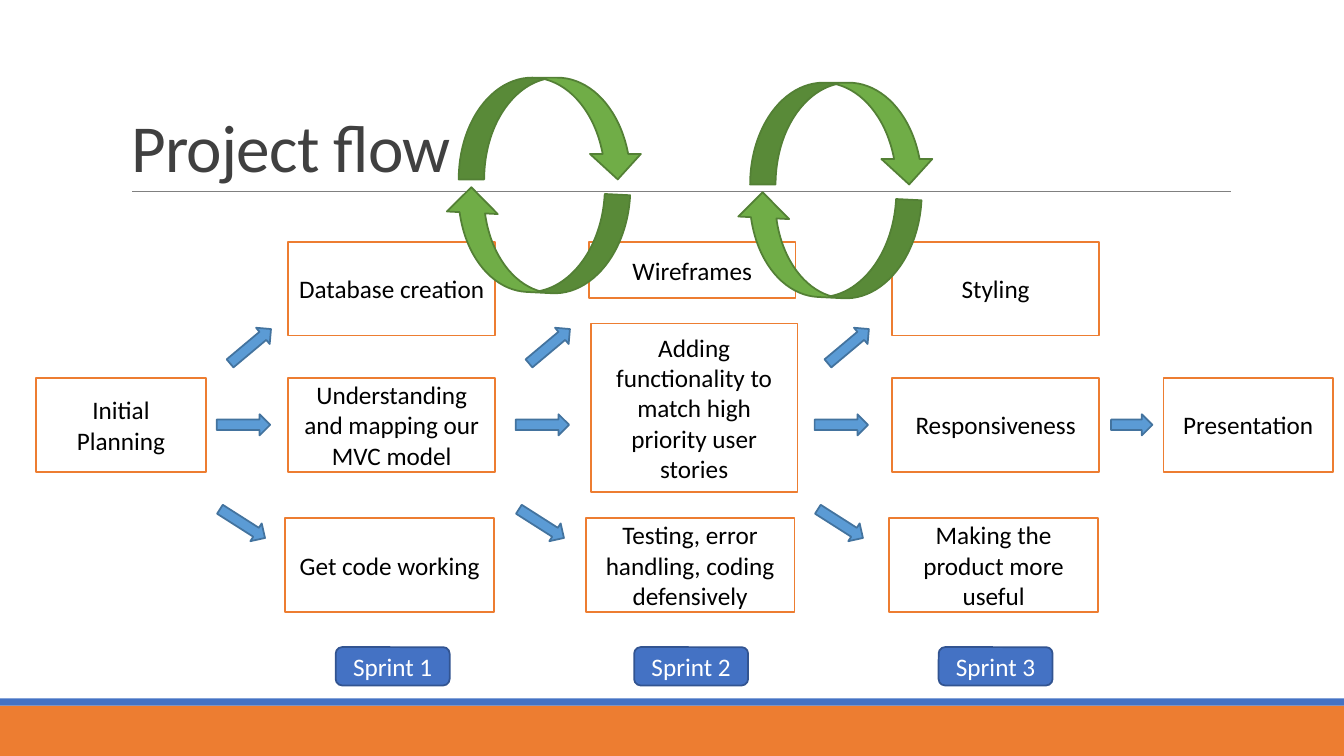
from pptx import Presentation
from pptx.dml.color import RGBColor
from pptx.enum.shapes import MSO_CONNECTOR, MSO_SHAPE
from pptx.enum.text import MSO_ANCHOR, MSO_AUTO_SIZE, PP_ALIGN
from pptx.oxml.ns import qn
from pptx.util import Inches, Pt

RECT = MSO_SHAPE.RECTANGLE
BOX = MSO_SHAPE.FLOWCHART_PROCESS
PILL = MSO_SHAPE.FLOWCHART_ALTERNATE_PROCESS
ARROW = MSO_SHAPE.RIGHT_ARROW
CURVE = MSO_SHAPE.CURVED_DOWN_ARROW
LINE = MSO_CONNECTOR.STRAIGHT
MIDDLE, BOTTOM = MSO_ANCHOR.MIDDLE, MSO_ANCHOR.BOTTOM
LEFT, CENTER = PP_ALIGN.LEFT, PP_ALIGN.CENTER

# Each look holds fill, outline and text colour.
THEME = {
    "font": "Calibri", "head": Pt(48), "body": Pt(18),
    "edge": Pt(1.25), "thin": Pt(0.5),
    "title": "404040", "rule": "808080",
    "foot": ("ED7D31", None, None),
    "strip": ("4472C4", None, None),
    "box": ("FFFFFF", "ED7D31", "000000"),
    "pill": ("4472C4", "325491", "FFFFFF"),
    "arrow": ("5B9BD5", "43739E", None),
    "cycle": ("70AD47", "538035", None),
}

deck = Presentation()
deck.slide_width, deck.slide_height = Inches(13.33), Inches(7.5)
CELL = deck.slide_height / 75  # the slide is a grid of 75 rows of square cells
WIDE = deck.slide_width / CELL
slide = deck.slides.add_slide(deck.slide_layouts[5])


def style(frame, text, size, color, align, anchor):
    """Fill a text frame with one formatted paragraph."""
    frame.text = text
    form = {"word_wrap": True, "auto_size": MSO_AUTO_SIZE.NONE,
            "vertical_anchor": anchor}
    for name, value in form.items():
        setattr(frame, name, value)
    para = frame.paragraphs[0]
    para.alignment = align
    font = para.runs[0].font
    for name, value in {"name": THEME["font"], "size": size}.items():
        setattr(font, name, value)
    font.color.rgb = RGBColor.from_string(color)
    return para


def draw(kind, look, area, text="", turn=0):
    """Add a shape; area is left, top, width and height in cells."""
    shape = slide.shapes.add_shape(kind, *(round(n * CELL) for n in area))
    shape.shadow.inherit = False
    shape.rotation = turn
    fill, edge, ink = THEME[look]
    shape.fill.solid()
    shape.fill.fore_color.rgb = RGBColor.from_string(fill)
    if edge:
        shape.line.color.rgb = RGBColor.from_string(edge)
        shape.line.width = THEME["edge"]
    else:
        shape.line.fill.background()
    if text:
        style(shape.text_frame, text, THEME["body"], ink, CENTER, MIDDLE)


# Title and frame
draw(RECT, "foot", (0, 70, WIDE, 5))
draw(RECT, "strip", (0, 69.3, WIDE, 0.7))
rule = slide.shapes.add_connector(
    LINE, *(round(n * CELL) for n in (13.1, 19, 122.1, 19)))
rule.line.color.rgb = RGBColor.from_string(THEME["rule"])
rule.line.width = THEME["thin"]
rule._element.spPr.append(rule._element.makeelement(qn("a:effectLst"), {}))

title = slide.shapes.title
place = {"left": 12, "top": 3.1, "width": 110, "height": 15.9}
for name, value in place.items():
    setattr(title, name, round(value * CELL))
para = style(title.text_frame, "Project flow", THEME["head"],
             THEME["title"], LEFT, BOTTOM)
para.line_spacing = 0.85
para.runs[0].font._element.set("spc", "-50")

# Start and end steps
MID, TALL = 37.5, 9.3
for left, text in ((3.6, "Initial Planning"), (115.4, "Presentation")):
    draw(BOX, "box", (left, MID, 16.8, TALL), text)

# Sprints: box column, label column, then the three steps from top to bottom
SPRINTS = (
    (28.6, 33.3, ("Database creation",
                  "Understanding and mapping our MVC model",
                  "Get code working")),
    (58.4, 62.9, ("Wireframes",
                  "Adding functionality to match high priority user stories",
                  "Testing, error handling, coding defensively")),
    (88.5, 93.1, ("Styling", "Responsiveness",
                  "Making the product more useful")),
)
ROWS = ((0, 24, 20.5, TALL), (0, MID, 20.5, TALL), (-0.3, 51.4, 20.7, TALL))
FIT = {"Wireframes": (0, 24, 20.5, 5.6),
       SPRINTS[1][2][1]: (0.2, 32.1, 20.5, 16.7)}
FAN = ((0.7, 33.3, 320), (0, 41.1, 0), (-0.1, 50.9, 32.5))

for i, (col, tab, steps) in enumerate(SPRINTS):
    for row, text in zip(ROWS, steps):
        shift, *rest = FIT.get(text, row)
        draw(BOX, "box", (col + shift, *rest), text)
    for shift, top, turn in FAN:
        left = 21.5 + 29.65 * i + shift
        draw(ARROW, "arrow", (left, top, 5.3, 2.1), turn=turn)
    draw(PILL, "pill", (tab, 64.2, 11.3, 3.8), f"Sprint {i + 1}")
draw(ARROW, "arrow", (110.2, 41.1, 4.1, 2.1))

# Cycles between sprints
for left, top in ((45.5, 7.7), (74.4, 8.2)):
    for shift, drop, turn in ((0, 0, 0), (-1.55, 11.2, 182.9)):
        draw(CURVE, "cycle", (left + shift, top + drop, 18.3, 10.1), turn=turn)

deck.save("out.pptx")
